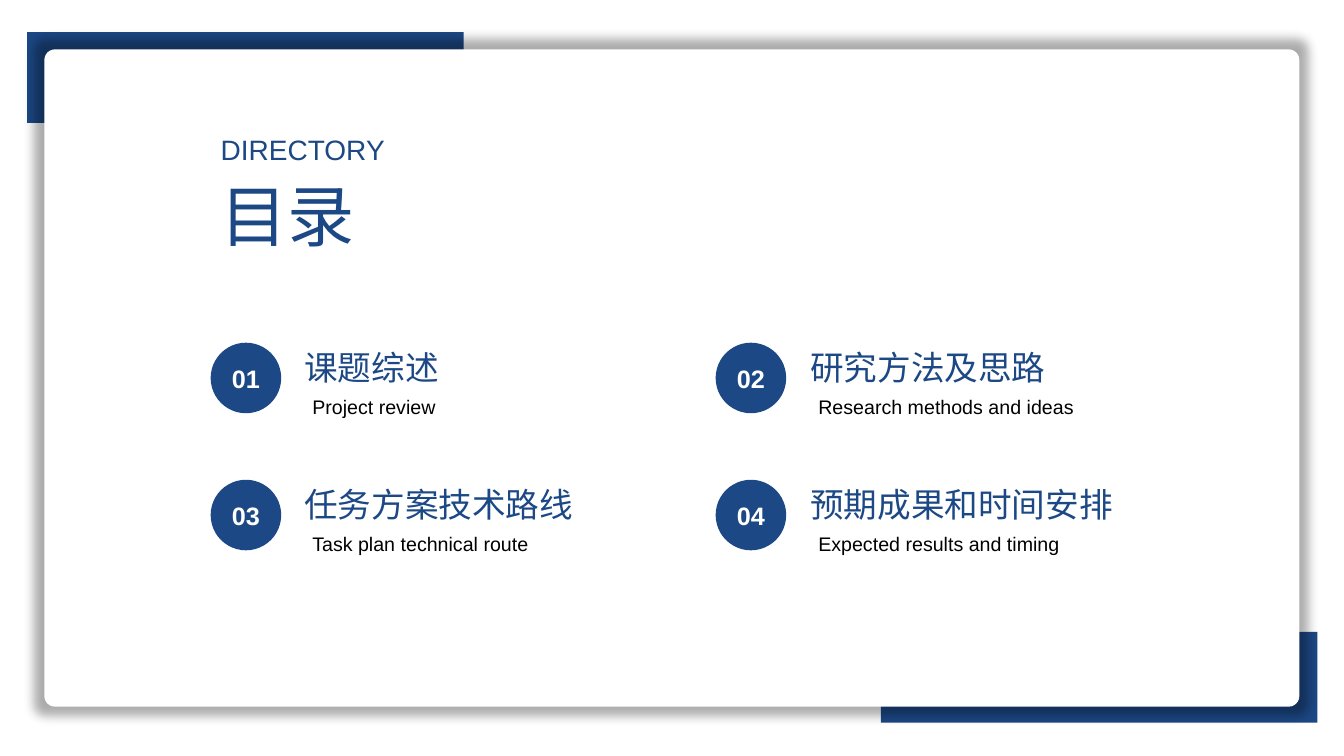
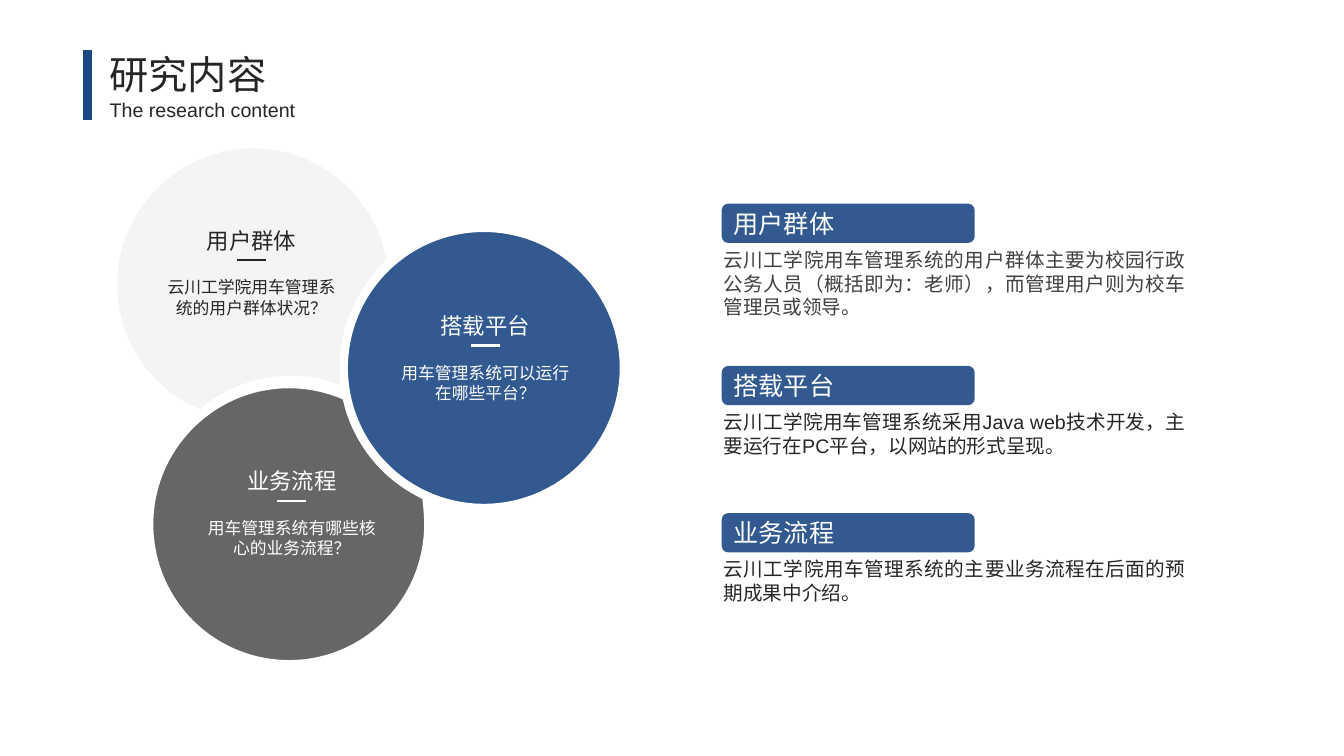
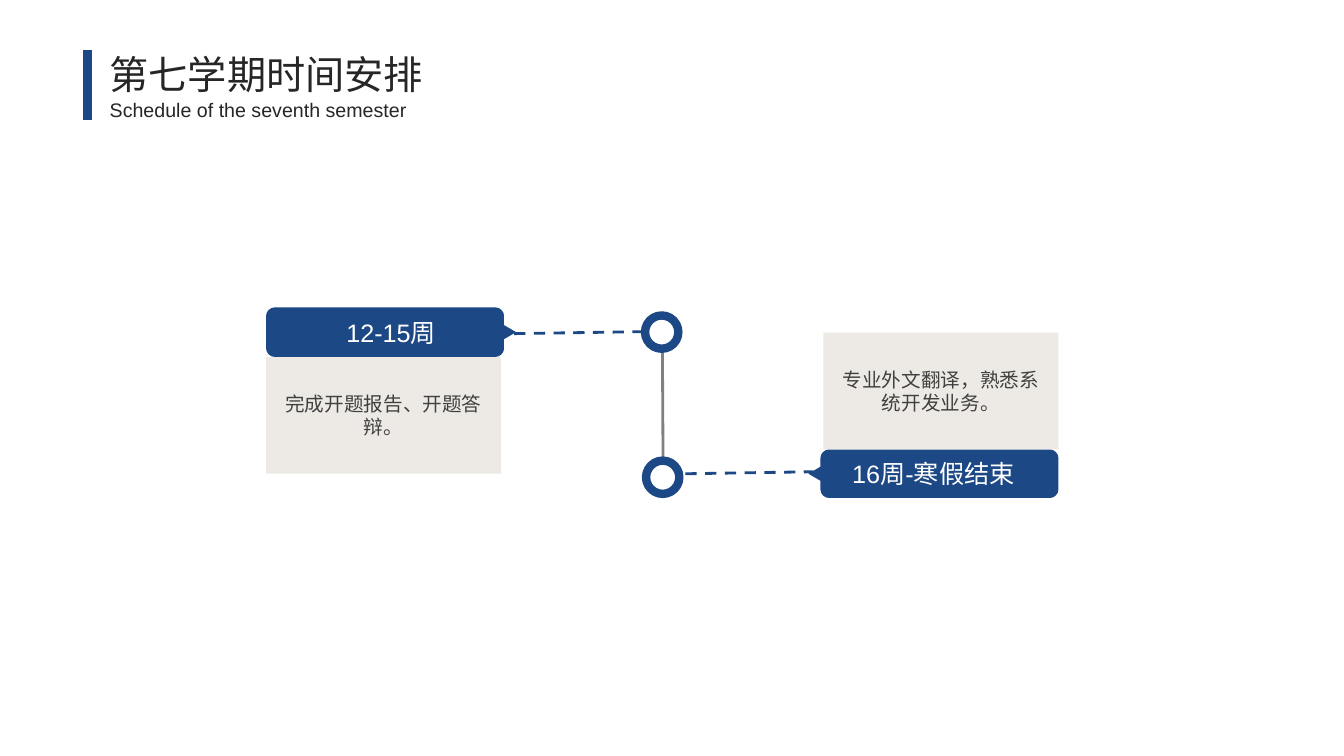
from dataclasses import dataclass
from itertools import product

from lxml.etree import SubElement
from pptx import Presentation
from pptx.dml.color import RGBColor as Rgb
from pptx.enum.dml import MSO_LINE
from pptx.enum.shapes import MSO_CONNECTOR, MSO_SHAPE as Preset
from pptx.enum.text import MSO_ANCHOR as Anchor, MSO_AUTO_SIZE as Fit, PP_ALIGN as Align
from pptx.oxml.ns import qn
from pptx.util import Inches, Pt


@dataclass(frozen=True)
class Theme:
    font: str = "Arial"
    navy: Rgb = Rgb(0x1C, 0x48, 0x85)
    ink: Rgb = Rgb(0x26, 0x26, 0x26)
    slate: Rgb = Rgb(0x40, 0x40, 0x40)
    gray: Rgb = Rgb(0x80, 0x80, 0x80)
    pale: Rgb = Rgb(0xF2, 0xF2, 0xF2)
    sand: Rgb = Rgb(0xED, 0xEA, 0xE5)
    white: Rgb = Rgb(0xFF, 0xFF, 0xFF)
    black: Rgb = Rgb(0, 0, 0)
    display: int = 48
    heading: int = 28
    entry: int = 24
    kicker: int = 20
    label: int = 18
    topic: int = 16
    body: int = 14
    small: int = 12
    heavy: int = 6
    thin: int = 2


THEME = Theme()

USERS_OUTLINE = [
    (2.51, 1.43), (3.19, 1.43, 3.74, 1.91, 3.87, 2.54), (3.88, 2.59), (3.84, 2.63),
    (3.59, 2.88, 3.43, 3.23, 3.43, 3.61), (3.43, 3.66, 3.44, 3.7, 3.44, 3.75),
    (3.46, 3.84), (3.42, 3.88), (3.17, 3.8), (3.08, 3.78, 2.99, 3.77, 2.89, 3.77),
    (2.56, 3.77, 2.25, 3.89, 2.01, 4.09), (1.99, 4.11), (1.97, 4.1),
    (1.47, 3.89, 1.12, 3.4, 1.12, 2.82), (1.12, 2.06, 1.75, 1.43, 2.51, 1.43),
]
PROCESS_OUTLINE = [
    (2.87, 3.81), (3.06, 3.81, 3.24, 3.85, 3.41, 3.92), (3.44, 3.94), (3.47, 4.06),
    (3.58, 4.41, 3.82, 4.7, 4.13, 4.87), (4.22, 4.92), (4.23, 4.92),
    (4.24, 5.01, 4.25, 5.11, 4.25, 5.2), (4.25, 5.97, 3.63, 6.59, 2.87, 6.59),
    (2.1, 6.59, 1.48, 5.97, 1.48, 5.2), (1.48, 4.44, 2.1, 3.81, 2.87, 3.81),
]


def apply_format(target, values):
    for name, value in values.items():
        setattr(target, name, value)


def write(shape, text, size, color, align=Align.LEFT, bold=None, **frame_format):
    frame = shape.text_frame
    apply_format(frame, {"word_wrap": True, **frame_format})
    paragraph = frame.paragraphs[0]
    paragraph.alignment = align
    run = paragraph.add_run()
    run.text = text
    apply_format(run.font, {"name": THEME.font, "size": Pt(size), "bold": bold})
    run.font.color.rgb = color


def add_text(slide, box, text, size, color, align=Align.LEFT):
    area = slide.shapes.add_textbox(*map(Inches, box))
    write(area, text, size, color, align, auto_size=Fit.SHAPE_TO_FIT_TEXT)


def paint(shape, fill, outline=None, opacity=None):
    shape.shadow.inherit = False
    shape.fill.solid()
    shape.fill.fore_color.rgb = fill
    if opacity:
        color = shape._element.spPr.find(qn("a:solidFill"))[0]
        SubElement(color, qn("a:alpha"), val=str(opacity * 1000))
    if outline is None:
        shape.line.fill.background()
    else:
        shape.line.color.rgb = outline
        shape.line.width = Pt(THEME.heavy)
    return shape


def add_preset(slide, preset, box, fill, outline=None, opacity=None):
    shape = slide.shapes.add_shape(preset, *map(Inches, box))
    return paint(shape, fill, outline, opacity)


def add_outline(slide, segments, fill, outline=None, opacity=None):
    points = [(Inches(x), Inches(y)) for segment in segments
              for x, y in zip(segment[::2], segment[1::2])]
    builder = slide.shapes.build_freeform(*points[0])
    builder.add_line_segments(points[1:], close=True)
    shape = builder.convert_to_shape()
    steps = iter(list(shape._element.iter(qn("a:lnTo"))))
    for segment in segments[1:]:
        first, *others = [next(steps) for _ in segment[::2]]
        if others:
            first.tag = qn("a:cubicBezTo")
        for step in others:
            first.append(step[0])
            step.getparent().remove(step)
    return paint(shape, fill, outline, opacity)


def add_line(slide, start, end, color, width, dash=None):
    line = slide.shapes.add_connector(MSO_CONNECTOR.STRAIGHT, *map(Inches, (*start, *end)))
    line.line.color.rgb = color
    apply_format(line.line, {"width": Pt(width), "dash_style": dash})
    SubElement(line._element.spPr, qn("a:effectLst"))


def add_glow(card):
    effects = card._element.spPr.find(qn("a:effectLst"))
    shadow = SubElement(effects, qn("a:outerShdw"), blurRad=str(Inches(0.1)), sx="101600",
                        sy="103000", algn="ctr", rotWithShape="0")
    color = SubElement(shadow, qn("a:srgbClr"), val=str(THEME.black))
    SubElement(color, qn("a:alpha"), val="32000")


def add_header(slide, title, subtitle, title_width, subtitle_width):
    add_text(slide, (0.99, 0.45, title_width, 0.57), title, THEME.heading, THEME.ink)
    add_text(slide, (0.99, 0.92, subtitle_width, 0.34), subtitle,
             THEME.body, THEME.ink, Align.JUSTIFY)
    add_line(slide, (0.87, 0.5), (0.87, 1.19), THEME.navy, THEME.heavy)


def add_entry(slide, column, top, number, title, subtitle):
    badge_left, title_left, subtitle_left = column
    badge = add_preset(slide, Preset.OVAL, (badge_left, top, 0.7, 0.7), THEME.navy)
    write(badge, number, THEME.label, THEME.white, Align.CENTER, True,
          vertical_anchor=Anchor.MIDDLE, margin_left=0, margin_right=0)
    add_text(slide, (title_left, top - 0.01, 4.05, 0.5), title, THEME.entry, THEME.navy)
    add_text(slide, (subtitle_left, top + 0.47, 2.93, 0.34), subtitle,
             THEME.body, THEME.black, Align.JUSTIFY)


def add_topic(slide, center, title, question, color):
    x, y = center
    add_text(slide, (x - 1.22, y - 0.61, 2.43, 0.37), title, THEME.topic, color, Align.CENTER)
    add_text(slide, (x - 0.98, y - 0.11, 1.95, 0.5), question, THEME.small, color, Align.CENTER)
    add_line(slide, (x - 0.15, y - 0.23), (x + 0.14, y - 0.23), color, THEME.thin)


def add_answer(slide, top, height, title, answer, color):
    add_text(slide, (7.08, top + 0.39, 4.78, height), answer, THEME.body, color, Align.JUSTIFY)
    pill = add_preset(slide, Preset.ROUNDED_RECTANGLE, (7.16, top, 2.51, 0.39),
                      THEME.navy, opacity=90)
    write(pill, title, THEME.label, THEME.white, Align.JUSTIFY, vertical_anchor=Anchor.MIDDLE)


def add_period(slide, flat_edge, top, height, direction, text):
    width, radius, pull, tip, half_tip = 2.36, 0.08, 0.04, 0.12, 0.07
    middle = height / 2
    right, bottom = width - radius, height - radius
    segments = [
        (radius, 0), (right, 0), (width - pull, 0, width, pull, width, radius),
        (width, middle - half_tip), (width + tip, middle), (width, middle + half_tip),
        (width, bottom), (width, height - pull, width - pull, height, right, height),
        (radius, height), (pull, height, 0, height - pull, 0, bottom),
        (0, radius), (0, pull, pull, 0, radius, 0),
    ]
    placed = [[top + value if index % 2 else flat_edge + direction * value
               for index, value in enumerate(segment)] for segment in segments]
    tag = add_outline(slide, placed, THEME.navy)
    write(tag, text, THEME.label, THEME.white, Align.CENTER, vertical_anchor=Anchor.MIDDLE)


def add_task(slide, left, top, text):
    panel = add_preset(slide, Preset.RECTANGLE, (left, top, 2.33, 1.16), THEME.sand)
    write(panel, text, THEME.body, THEME.slate, Align.CENTER, vertical_anchor=Anchor.MIDDLE)


def build_directory(slide):
    for left, top in ((8.74, 6.27), (0.27, 0.32)):
        add_preset(slide, Preset.RECTANGLE, (left, top, 4.33, 0.9), THEME.navy)
    card = add_preset(slide, Preset.ROUNDED_RECTANGLE, (0.44, 0.49, 12.45, 6.52), THEME.white)
    card.adjustments[0] = 0.016
    add_glow(card)
    add_text(slide, (2.09, 1.68, 2.54, 0.91), "目录", THEME.display, THEME.navy, Align.JUSTIFY)
    add_text(slide, (2.09, 1.27, 2.54, 0.44), "DIRECTORY", THEME.kicker, THEME.navy, Align.JUSTIFY)
    entries = [
        ("课题综述", "Project review"),
        ("研究方法及思路", "Research methods and ideas"),
        ("任务方案技术路线", "Task plan technical route"),
        ("预期成果和时间安排", "Expected results and timing"),
    ]
    places = product((3.4, 4.76), ((2.09, 2.92, 3), (7.1, 7.94, 8.02)))
    for number, ((top, column), entry) in enumerate(zip(places, entries), 1):
        add_entry(slide, column, top, f"{number:02}", *entry)


def build_content(slide):
    add_header(slide, "研究内容", "The research content", 2.78, 2.46)
    for segments, fill in ((USERS_OUTLINE, THEME.pale), (PROCESS_OUTLINE, THEME.slate)):
        add_outline(slide, segments, fill, THEME.white, 80)
    add_preset(slide, Preset.OVAL, (3.41, 2.26, 2.78, 2.78), THEME.navy, THEME.white, 90)
    topics = [
        ((2.5, 2.81), "用户群体", "云川工学院用车管理系统的用户群体状况？", THEME.ink),
        ((2.9, 5.2), "业务流程", "用车管理系统有哪些核心的业务流程？", THEME.white),
        ((4.82, 3.66), "搭载平台", "用车管理系统可以运行在哪些平台？", THEME.white),
    ]
    for topic in topics:
        add_topic(slide, *topic)
    answers = [
        (2.02, 0.81, "用户群体", "云川工学院用车管理系统的用户群体主要为校园行政公务人员"
         "（概括即为：老师），而管理用户则为校车管理员或领导。", THEME.slate),
        (3.63, 0.57, "搭载平台", "云川工学院用车管理系统采用Java web技术开发，主要运行在PC平台，"
         "以网站的形式呈现。", THEME.ink),
        (5.09, 0.57, "业务流程", "云川工学院用车管理系统的主要业务流程在后面的预期成果中介绍。",
         THEME.ink),
    ]
    for answer in answers:
        add_answer(slide, *answer)


def build_schedule(slide):
    add_header(slide, "第七学期时间安排", "Schedule of the seventh semester", 3.54, 3.36)
    add_task(slide, 8.17, 3.3, "专业外文翻译，熟悉系统开发业务。")
    add_task(slide, 2.64, 3.54, "完成开题报告、开题答辩。")
    add_line(slide, (6.57, 3.13), (6.58, 4.9), THEME.gray, THEME.thin)
    for left, top in ((6.41, 4.57), (6.4, 3.13)):
        add_preset(slide, Preset.OVAL, (left, top, 0.33, 0.33), THEME.white, THEME.navy)
    add_period(slide, 2.64, 3.05, 0.49, 1, "12-15周")
    add_period(slide, 10.5, 4.46, 0.48, -1, "16周-寒假结束")
    for start, end in (((6.8, 4.7), (8.07, 4.68)), ((5.1, 3.31), (6.4, 3.29))):
        add_line(slide, start, end, THEME.navy, THEME.thin, MSO_LINE.DASH)


def main():
    deck = Presentation()
    apply_format(deck, {"slide_width": Inches(40 / 3), "slide_height": Inches(7.5)})
    for build in (build_directory, build_content, build_schedule):
        build(deck.slides.add_slide(deck.slide_layouts[6]))
    deck.save("out.pptx")


if __name__ == "__main__":
    main()
